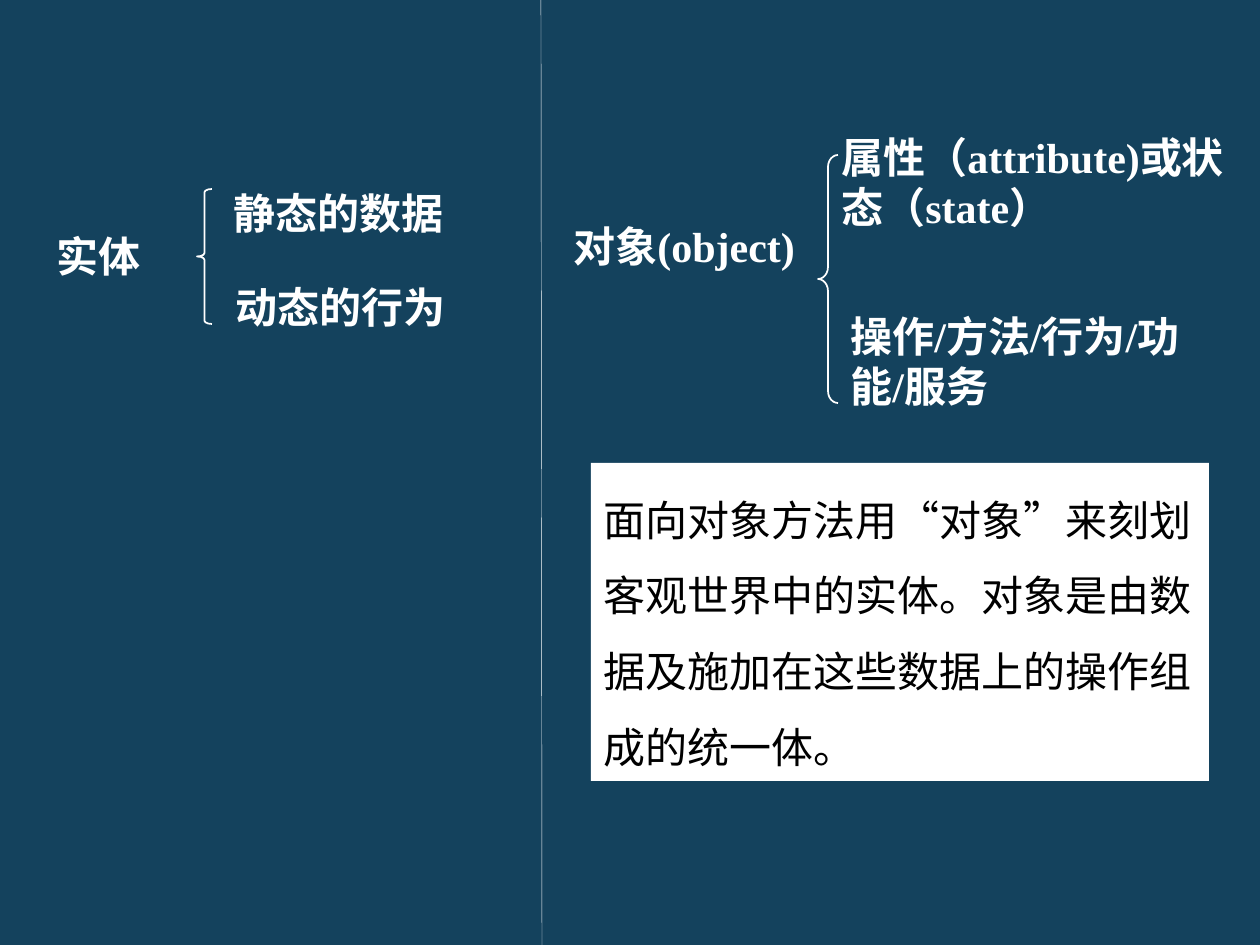
from lxml import etree
from pptx import Presentation
from pptx import util as u
from pptx.dml.color import RGBColor
from pptx.enum import lang, shapes, text
from pptx.oxml import ns

PX = 914400 / 126
NAVY = RGBColor(0x14, 0x42, 0x5D)
WHITE = RGBColor(0xFF, 0xFF, 0xFF)
BLACK = RGBColor(0x00, 0x00, 0x00)
CJK_FONT = "Noto Sans CJK SC"


def emu(*lengths):
    """Turn px lengths into EMU."""
    return [u.Emu(round(length * PX)) for length in lengths]


def write(shape, wording, color, **font_format):
    frame = shape.text_frame
    frame.word_wrap = True
    frame.vertical_anchor = text.MSO_ANCHOR.TOP
    paragraph = frame.paragraphs[0]
    paragraph.alignment = text.PP_ALIGN.LEFT
    run = paragraph.add_run()
    run.text = wording
    font_format |= {"size": u.Pt(24), "language_id": lang.MSO_LANGUAGE_ID.SIMPLIFIED_CHINESE}
    for attribute, value in font_format.items():
        setattr(run.font, attribute, value)
    run.font.color.rgb = color
    east_asian = etree.SubElement(run.font._element, ns.qn("a:ea"))
    east_asian.set("typeface", CJK_FONT)
    return paragraph


prs = Presentation()
prs.slide_width, prs.slide_height = emu(1260, 945)
slide = prs.slides.add_slide(prs.slide_layouts[6])
slide.background.fill.solid()
slide.background.fill.fore_color.rgb = NAVY

divider = slide.shapes.add_connector(shapes.MSO_CONNECTOR.STRAIGHT, *emu(541, 0, 542, 945))
divider.line.color.rgb = WHITE
divider.line.width = u.Pt(0.25)
etree.SubElement(divider._element.spPr, ns.qn("a:effectLst"))

# Entity on the left, object on the right, each with its two aspects
terms = [
    ("实体", 44, 224, 155, 63),
    ("静态的数据", 221, 181, 262, 63),
    ("动态的行为", 223, 275, 297, 63),
    ("对象(object)", 561, 214, 297, 63),
    ("属性（attribute)或状态（state）", 829, 125, 431, 115),
    ("操作/方法/行为/功能/服务", 838, 304, 422, 115),
]
for wording, *place in terms:
    term = slide.shapes.add_textbox(*emu(*place))
    write(term, wording, WHITE, name="Times New Roman", bold=True)

for curve, *place in [(0.22, 197, 189, 15, 135), (0.6, 818, 155, 20, 248)]:
    brace = slide.shapes.add_shape(shapes.MSO_SHAPE.LEFT_BRACE, *emu(*place))
    brace.shadow.inherit = False
    brace.adjustments[0] = curve
    brace.fill.background()
    brace.line.color.rgb = WHITE
    brace.line.width = u.Pt(1)

definition = slide.shapes.add_shape(shapes.MSO_SHAPE.RECTANGLE, *emu(591, 463, 618, 318))
definition.shadow.inherit = False
definition.fill.solid()
definition.fill.fore_color.rgb = WHITE
definition.line.fill.background()
sentence = write(
    definition,
    "面向对象方法用“对象”来刻划客观世界中的实体。对象是由数据及施加在这些数据上的操作组成的统一体。",
    BLACK,
    name=CJK_FONT,
)
sentence.line_spacing = 1.5

prs.save("out.pptx")
